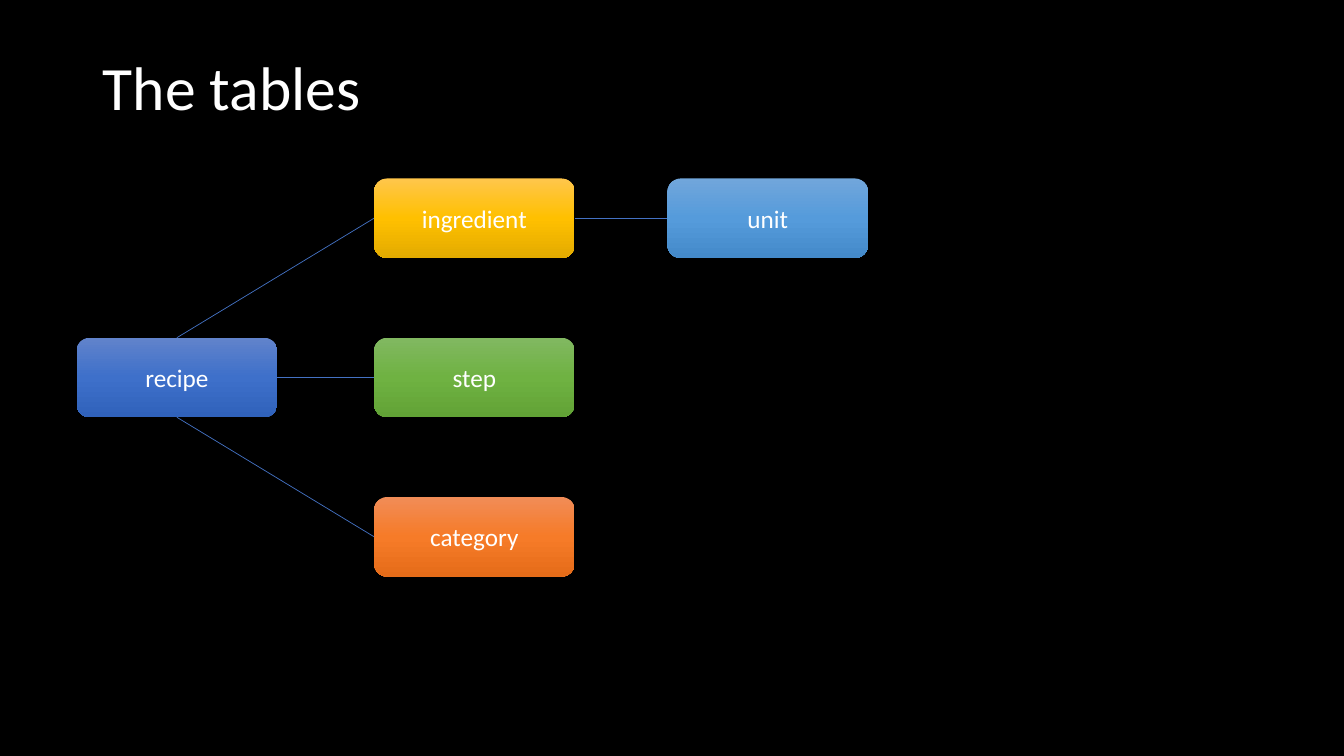
from copy import deepcopy

from pptx import Presentation
from pptx.dml.color import RGBColor
from pptx.enum.shapes import MSO_CONNECTOR, MSO_SHAPE
from pptx.enum.text import MSO_ANCHOR, PP_ALIGN
from pptx.oxml.ns import qn
from pptx.util import Inches, Pt
from lxml.etree import SubElement

COLS = (0.76, 3.71, 6.62)
TOP, PITCH = 1.77, 1.58
WIDTH, HEIGHT = 1.99, 0.79
UP, LEFT, DOWN, RIGHT = range(4)

TABLES = {
    "recipe": (0, 1, ("6183CB", "3E70CA", "3062BB")),
    "category": (1, 2, ("F18C57", "F67B28", "E56C19")),
    "unit": (2, 0, ("71A6DB", "559BDB", "448ACA")),
    "step": (1, 1, ("81B861", "6FB242", "62A336")),
    "ingredient": (1, 0, ("FFC64B", "FFC000", "E3AB00")),
}
LINKS = (
    ("recipe", UP, "ingredient"),
    ("recipe", RIGHT, "step"),
    ("ingredient", RIGHT, "unit"),
    ("recipe", DOWN, "category"),
)


def paint(color, code):
    color.rgb = RGBColor.from_string(code)


def write(shape, text, size=18, align=PP_ALIGN.CENTER, space=1.0):
    frame = shape.text_frame
    frame.word_wrap = True
    frame.vertical_anchor = MSO_ANCHOR.MIDDLE
    para = frame.paragraphs[0]
    para.alignment = align
    para.line_spacing = space
    run = para.add_run()
    run.text = text
    run.font.size = Pt(size)
    run.font.name = "Calibri"
    paint(run.font.color, "FFFFFF")


def shade(shape, codes):
    """Fill a shape from top to bottom with three evenly spaced colours."""
    fill = shape.fill
    fill.gradient()
    fill.gradient_angle = 270
    stops = shape._element.spPr.find(".//" + qn("a:gsLst"))
    stops.insert(1, deepcopy(stops[0]))
    for index, (stop, code) in enumerate(zip(fill.gradient_stops, codes)):
        stop.position = index / 2
        paint(stop.color, code)


def add_box(slide, name, col, row, codes):
    box = slide.shapes.add_shape(
        MSO_SHAPE.ROUNDED_RECTANGLE, Inches(COLS[col]),
        Inches(TOP + PITCH * row), Inches(WIDTH), Inches(HEIGHT))
    box.shadow.inherit = False
    box.line.fill.background()
    shade(box, codes)
    write(box, name)
    return box


def add_link(slide, start, side, end):
    link = slide.shapes.add_connector(MSO_CONNECTOR.STRAIGHT, 0, 0, 0, 0)
    link.begin_connect(start, side)
    link.end_connect(end, LEFT)
    link.line.width = Pt(0.5)
    paint(link.line.color, "4472C4")
    SubElement(link._element.spPr, qn("a:effectLst"))


def main():
    deck = Presentation()
    deck.slide_width, deck.slide_height = Inches(13.33), Inches(7.5)
    slide = deck.slides.add_slide(deck.slide_layouts[5])
    back = slide.background.fill
    back.solid()
    paint(back.fore_color, "000000")

    title = slide.shapes.title
    title.left, title.top = Inches(0.92), Inches(0.4)
    title.width, title.height = Inches(11.5), Inches(1)
    write(title, "The tables", size=44, align=PP_ALIGN.LEFT, space=0.9)

    boxes = {name: add_box(slide, name, *place)
             for name, place in TABLES.items()}
    for start, side, end in LINKS:
        add_link(slide, boxes[start], side, boxes[end])
    deck.save("out.pptx")


if __name__ == "__main__":
    main()
